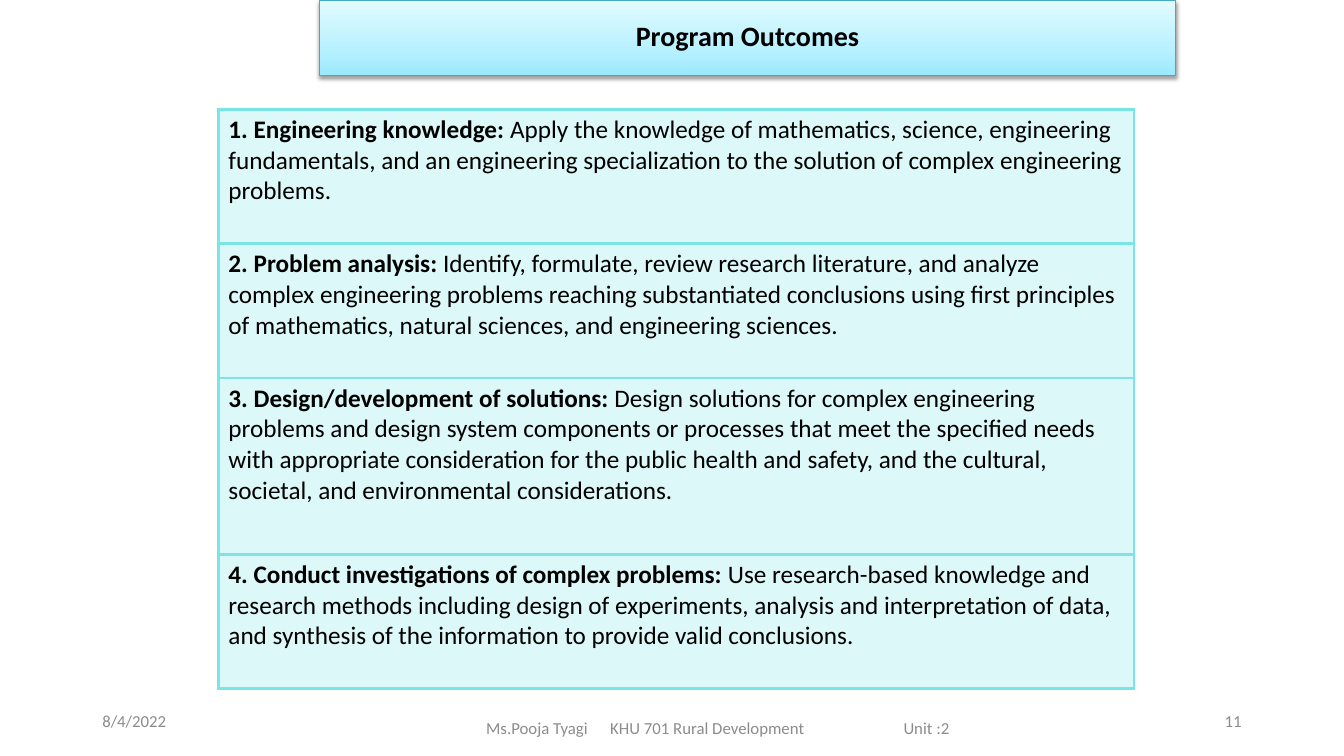
from copy import deepcopy
from dataclasses import dataclass

from lxml.etree import SubElement
from pptx import Presentation
from pptx.dml.color import RGBColor
from pptx.enum.text import MSO_ANCHOR, MSO_AUTO_SIZE, PP_ALIGN
from pptx.oxml.ns import qn
from pptx.shapes.autoshape import Shape
from pptx.slide import Slide
from pptx.table import _Cell as Cell
from pptx.text.text import _Paragraph as Para
from pptx.util import Inches, Pt

BLACK = RGBColor(0x00, 0x00, 0x00)
GRAY = RGBColor(0x8C, 0x8C, 0x8C)
AQUA = RGBColor(0x7B, 0xE5, 0xE5)
EDGE = RGBColor(0x45, 0xA9, 0xC4)
DEEP = RGBColor(0x9B, 0xE9, 0xFF)
SOFT = RGBColor(0xB8, 0xF1, 0xFF)
PALE = RGBColor(0xE2, 0xFB, 0xFF)
FONT = "Calibri"
COLS, ROWS = 160, 90
UNIT = Inches(7.5) // ROWS


@dataclass
class Box:
    col: float
    row: float
    wide: float
    high: float

    def place(self) -> list[int]:
        return [round(n * UNIT) for n in (self.col, self.row, self.wide, self.high)]


@dataclass
class Goal:
    head: str
    body: str
    rows: int


@dataclass
class Note:
    text: str
    box: Box
    align: PP_ALIGN
    inset: float = 0.1
    tabs: tuple[float, ...] = ()


BANNER = Box(38, 0, 102, 9)
GRID = Box(26, 13, 109, 69)
GOALS = [
    Goal("1. Engineering knowledge: ",
         "Apply the knowledge of mathematics, science, engineering fundamentals, and an "
         "engineering specialization to the solution of complex engineering problems.", 16),
    Goal("2. Problem analysis:",
         " Identify, formulate, review research literature, and analyze complex engineering "
         "problems reaching substantiated conclusions using first principles of mathematics, "
         "natural sciences, and engineering sciences.", 16),
    Goal("3. Design/development of solutions:",
         " Design solutions for complex engineering problems and design system components or "
         "processes that meet the specified needs with appropriate consideration for the public "
         "health and safety, and the cultural, societal, and environmental considerations.", 21),
    Goal("4. Conduct investigations of complex problems: ",
         "Use research-based knowledge and research methods including design of experiments, "
         "analysis and interpretation of data, and synthesis of the information to provide "
         "valid conclusions.", 16),
]
NOTES = [
    Note("8/4/2022", Box(11, 83.4, 36, 4.8), PP_ALIGN.LEFT),
    Note("Ms.Pooja Tyagi\tKHU 701 Rural Development\tUnit :2",
         Box(49, 84.2, 73, 4.8), PP_ALIGN.LEFT, 0.74, (1.23, 4.14)),
    Note("11", Box(113, 83.4, 36, 4.8), PP_ALIGN.RIGHT),
]


def add_run(para: Para, text: str, size: int, color: RGBColor, bold: bool = False) -> None:
    run = para.add_run()
    run.text = text
    run.font.name = FONT
    run.font.size = Pt(size)
    run.font.bold = bold
    run.font.color.rgb = color


def add_shade(shape: Shape) -> None:
    effects = SubElement(shape._element.spPr, qn("a:effectLst"))
    shade = SubElement(effects, qn("a:outerShdw"), blurRad=str(Pt(3.1)),
                       dist=str(Pt(1.6)), dir="5400000", rotWithShape="0")
    tint = SubElement(shade, qn("a:srgbClr"), val=str(BLACK))
    SubElement(tint, qn("a:alpha"), val="38000")


def draw_title(slide: Slide) -> None:
    title = slide.shapes.title
    title.left, title.top, title.width, title.height = BANNER.place()
    title.fill.gradient()
    title.fill.gradient_angle = 90
    stops = title._element.spPr.find(".//" + qn("a:gsLst"))
    stops.append(deepcopy(stops[-1]))
    for stop, share, color in zip(title.fill.gradient_stops, (0, 0.35, 1), (DEEP, SOFT, PALE)):
        stop.position = share
        stop.color.rgb = color
    title.line.color.rgb = EDGE
    title.line.width = Pt(0.75)
    add_shade(title)
    frame = title.text_frame
    frame.auto_size = MSO_AUTO_SIZE.NONE
    frame.vertical_anchor = MSO_ANCHOR.MIDDLE
    para = frame.paragraphs[0]
    para.alignment = PP_ALIGN.CENTER
    para.line_spacing = 0.9
    add_run(para, "Program Outcomes", 20, BLACK, True)


def style_cell(cell: Cell) -> None:
    cell.fill.solid()
    cell.fill.fore_color.rgb = AQUA
    props = cell._tc.get_or_add_tcPr()
    SubElement(props.find(".//" + qn("a:srgbClr")), qn("a:alpha"), val="25000")
    for spot, side in enumerate(("lnL", "lnR", "lnT", "lnB")):
        line = SubElement(props, qn("a:" + side), w=str(Pt(2.25)))
        SubElement(SubElement(line, qn("a:solidFill")), qn("a:srgbClr"), val=str(AQUA))
        props.insert(spot, line)


def draw_goals(slide: Slide) -> None:
    table = slide.shapes.add_table(len(GOALS), 1, *GRID.place()).table
    table.first_row = table.horz_banding = False
    for row, goal in zip(table.rows, GOALS):
        row.height = goal.rows * UNIT
        cell = row.cells[0]
        style_cell(cell)
        para = cell.text_frame.paragraphs[0]
        add_run(para, goal.head, 18, BLACK, True)
        add_run(para, goal.body, 18, BLACK)


def draw_note(slide: Slide, note: Note) -> None:
    frame = slide.shapes.add_textbox(*note.box.place()).text_frame
    frame.word_wrap = True
    frame.vertical_anchor = MSO_ANCHOR.MIDDLE
    frame.margin_left = Inches(note.inset)
    para = frame.paragraphs[0]
    para.alignment = note.align
    if note.tabs:
        stops = SubElement(para._p.get_or_add_pPr(), qn("a:tabLst"))
        for tab in note.tabs:
            SubElement(stops, qn("a:tab"), pos=str(Inches(tab)), algn="l")
    add_run(para, note.text, 12, GRAY)


def main() -> None:
    deck = Presentation()
    deck.slide_width, deck.slide_height = COLS * UNIT, ROWS * UNIT
    slide = deck.slides.add_slide(deck.slide_layouts.get_by_name("Title Only"))
    draw_title(slide)
    draw_goals(slide)
    for note in NOTES:
        draw_note(slide, note)
    deck.save("out.pptx")


if __name__ == "__main__":
    main()
